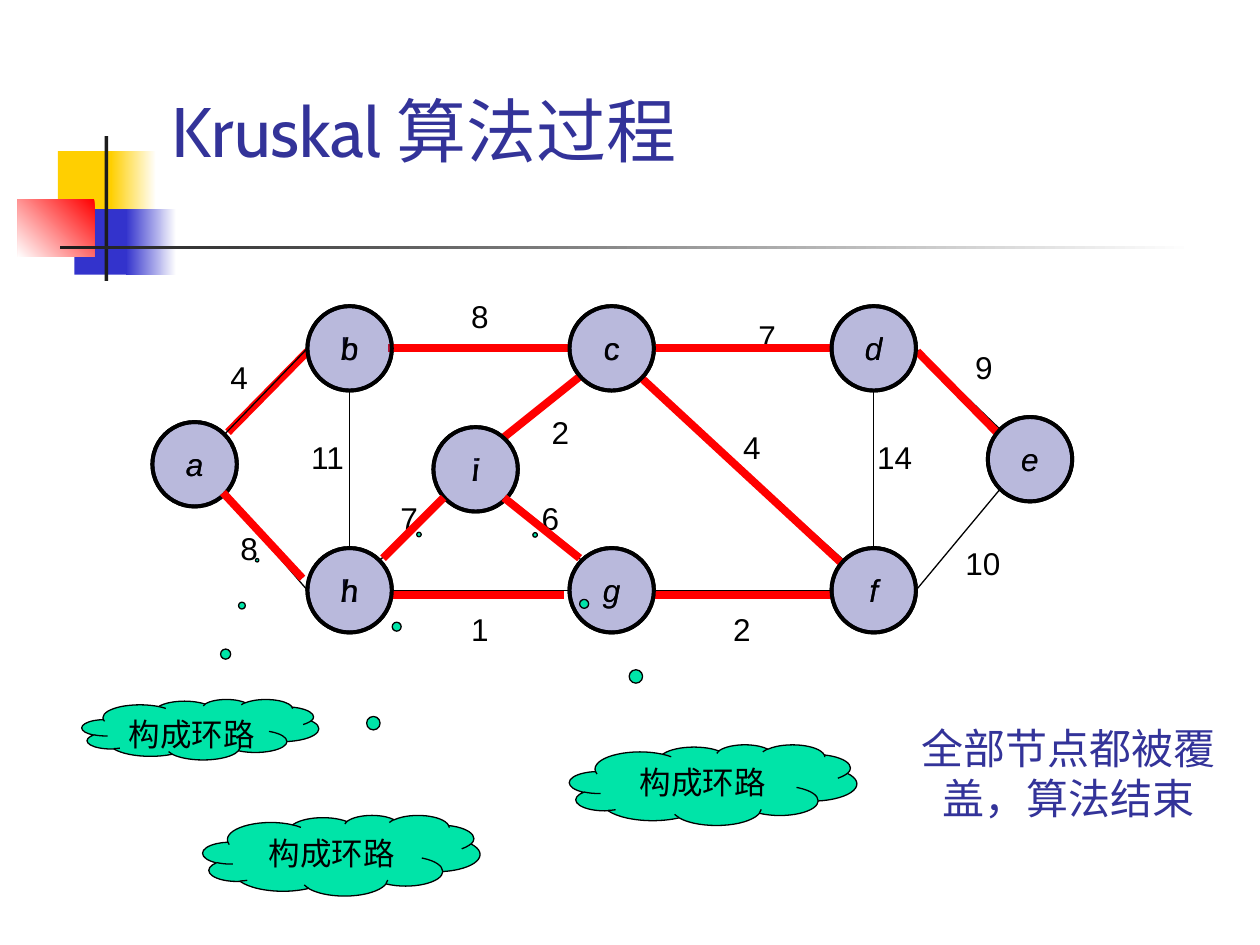
import math

import lxml.etree
import pptx
import pptx.dml.color
import pptx.enum.shapes
import pptx.enum.text
import pptx.oxml.ns
import pptx.util

colour = pptx.dml.color.RGBColor.from_string
qn = pptx.oxml.ns.qn
Pt = pptx.util.Pt
SHAPE = pptx.enum.shapes.MSO_SHAPE
ALIGN = pptx.enum.text.PP_ALIGN
ANCHOR = pptx.enum.text.MSO_ANCHOR

deck = pptx.Presentation()
deck.slide_width = pptx.util.Inches(10)
deck.slide_height = pptx.util.Inches(7.5)
page = deck.slides.add_slide(deck.slide_layouts[5])
cell = deck.slide_width / 100


def place(kind, box, fill, border=0):
    shape = page.shapes.add_shape(kind, *[round(share * cell) for share in box])
    shape.shadow.inherit = False
    shape.fill.solid()
    shape.fill.fore_color.rgb = colour(fill)
    if border:
        shape.line.color.rgb = colour("000000")
        shape.line.width = Pt(border)
    else:
        shape.line.fill.background()
    return shape


def join(ends, stroke, width):
    edge = page.shapes.add_connector(
        pptx.enum.shapes.MSO_CONNECTOR.STRAIGHT, *[round(share * cell) for share in ends])
    edge.line.color.rgb = colour(stroke)
    edge.line.width = Pt(width)
    lxml.etree.SubElement(edge._element.spPr, qn("a:effectLst"))


base = {"name": "Arial", "size": Pt(18), "italic": False}
slanted = {**base, "italic": True}
heading = {**base, "name": "Cabin", "size": Pt(40)}
closing = {**base, "size": Pt(24)}
captions = []

ornaments = [
    ((4.6, 12, 4.8, 5.2), ["FFCF01"], 0),
    ((8.8, 12, 3.6, 5.2), ["FFFFFF", "FFCF01"], 180),
    ((5.9, 16.6, 4.6, 5.2), ["3333CC"], 0),
    ((10, 16.6, 4, 5.2), ["FFFFFF", "3333CC"], 180),
    ((1.4, 15.8, 6.1, 4.6), ["FF0000", "FFFFFF"], 225),
    ((8.3, 10.8, 0.3, 11.5), ["1C1C1C"], 0),
    ((4.8, 19.5, 90, 0.3), ["FFFFFF", "1C1C1C"], 180),
]
for box, tints, angle in ornaments:
    ornament = place(SHAPE.RECTANGLE, box, tints[0])
    if len(tints) == 2:
        ornament.fill.gradient()
        ornament.fill.gradient_angle = angle
        for position, (stop, tint) in enumerate(zip(ornament.fill.gradient_stops, tints)):
            stop.color.rgb = colour(tint)
            stop.position = position

title = page.shapes.title
bounds = {"left": 12.6, "top": 2.3, "width": 85.2, "height": 16}
for name, share in bounds.items():
    setattr(title, name, round(share * cell))
captions.append((title, "Kruskal 算法过程", heading, "333399", ALIGN.LEFT, ANCHOR.MIDDLE, True))

diameter = 6.7
columns = [24.4, 45.2, 66]
rows = [24.3, 43.5]
nodes = {name: (left, top) for names, top in zip(("bcd", "hgf"), rows)
         for name, left in zip(names, columns)}
nodes.update(a=(12.1, 33.5), i=(34.4, 33.9), e=(78.4, 33.1))

for name, corner in nodes.items():
    node = place(SHAPE.OVAL, (*corner, diameter, diameter), "FFFFFF", 2.25)
    style = base if name in "bchi" else slanted
    captions.append((node, name, style, "000000", ALIGN.CENTER, ANCHOR.MIDDLE, False))

join((18.1, 34.3, 24.4, 27.9), "FF0000", 4.5)

# Each code names a node and the eighth of its rim, clockwise from the right.
edges = ["b4a7", "c4b0", "h4a1", "c0d4", "h0g4", "c3i7", "i3h7",
         "b2h6", "d0e5", "g0f4", "d2f6", "c1f5", "i1g5", "e3f0"]
for edge in edges:
    ends = []
    for name, eighth in (edge[:2], edge[2:]):
        turn = int(eighth) * math.pi / 4
        left, top = nodes[name]
        ends += [left + diameter / 2 * (1 + math.cos(turn)),
                 top + diameter / 2 * (1 + math.sin(turn))]
    join(ends, "000000", 0.75)

weights = [
    ("4", 17.3, 27.9, 3.2), ("8", 36.4, 23.1, 3.2), ("8", 18.1, 41.5, 3.2),
    ("4", 58, 33.5, 3.2), ("14", 68.4, 34.3, 5.2), ("7", 59.2, 24.7, 3.2),
    ("9", 76.4, 27.1, 3.2), ("10", 75.6, 42.7, 4.8), ("6", 42, 39.1, 3.2),
    ("7", 30.8, 39.1, 3.2), ("2", 42.8, 32.3, 3.2), ("11", 23.6, 34.3, 4.8),
    ("1", 36.4, 47.9, 3.2), ("2", 57.2, 47.9, 3.2),
]
for weight, left, top, width in weights:
    box = page.shapes.add_textbox(*[round(share * cell) for share in (left, top, width, 4)])
    captions.append((box, weight, base, "000000", ALIGN.CENTER, ANCHOR.TOP, True))

tree_below = [
    (30.8, 27.6, 45.2, 27.6), (40, 34.7, 46, 29.9), (31.2, 47.2, 44.8, 47.2),
    (52, 27.6, 66, 27.6), (50.8, 29.9, 66.8, 44.7), (52, 47.2, 66, 47.2),
    (72.8, 27.9, 79.1, 34.3),
]
for ends in tree_below:
    join(ends, "FF0000", 4.5)

for name, corner in nodes.items():
    node = place(SHAPE.OVAL, (*corner, diameter, diameter), "333399", 2.25)
    tint = node._element.spPr.find(qn("a:solidFill"))[0]
    lxml.etree.SubElement(tint, qn("a:alpha"), val="34000")
    captions.append((node, name, slanted, "000000", ALIGN.CENTER, ANCHOR.MIDDLE, False))

tree_above = [(40, 39.5, 46, 44.3), (30.4, 44.3, 35.2, 39.5), (17.7, 39.1, 24, 45.9)]
for ends in tree_above:
    join(ends, "FF0000", 4.5)

clouds = [
    ((45.2, 59.1, 22.8, 6.4), (-0.62, -3.1)),
    ((16.1, 64.7, 22, 6.4), (0.28, -3.98)),
    ((6.5, 55.5, 18.8, 4.8), (0.24, -2.8)),
]
for box, tail in clouds:
    cloud = place(SHAPE.CLOUD_CALLOUT, box, "00E4A8", 0.75)
    for index, offset in enumerate(tail):
        cloud.adjustments[index] = offset
    captions.append((cloud, "构成环路", base, "000000", ALIGN.CENTER, ANCHOR.TOP, True))

ending = page.shapes.add_textbox(*[round(share * cell) for share in (71.6, 51.9, 26.4, 18.8)])
captions.append((ending, "全部节点都被覆盖，算法结束", closing, "333399",
                 ALIGN.CENTER, ANCHOR.MIDDLE, True))

for shape, text, style, ink, alignment, anchor, wrap in captions:
    frame = shape.text_frame
    frame.auto_size = pptx.enum.text.MSO_AUTO_SIZE.NONE
    frame.word_wrap = wrap
    frame.vertical_anchor = anchor
    para = frame.paragraphs[0]
    para.alignment = alignment
    span = para.add_run()
    span.text = text
    for name, value in style.items():
        setattr(span.font, name, value)
    span.font.color.rgb = colour(ink)

deck.save("out.pptx")
